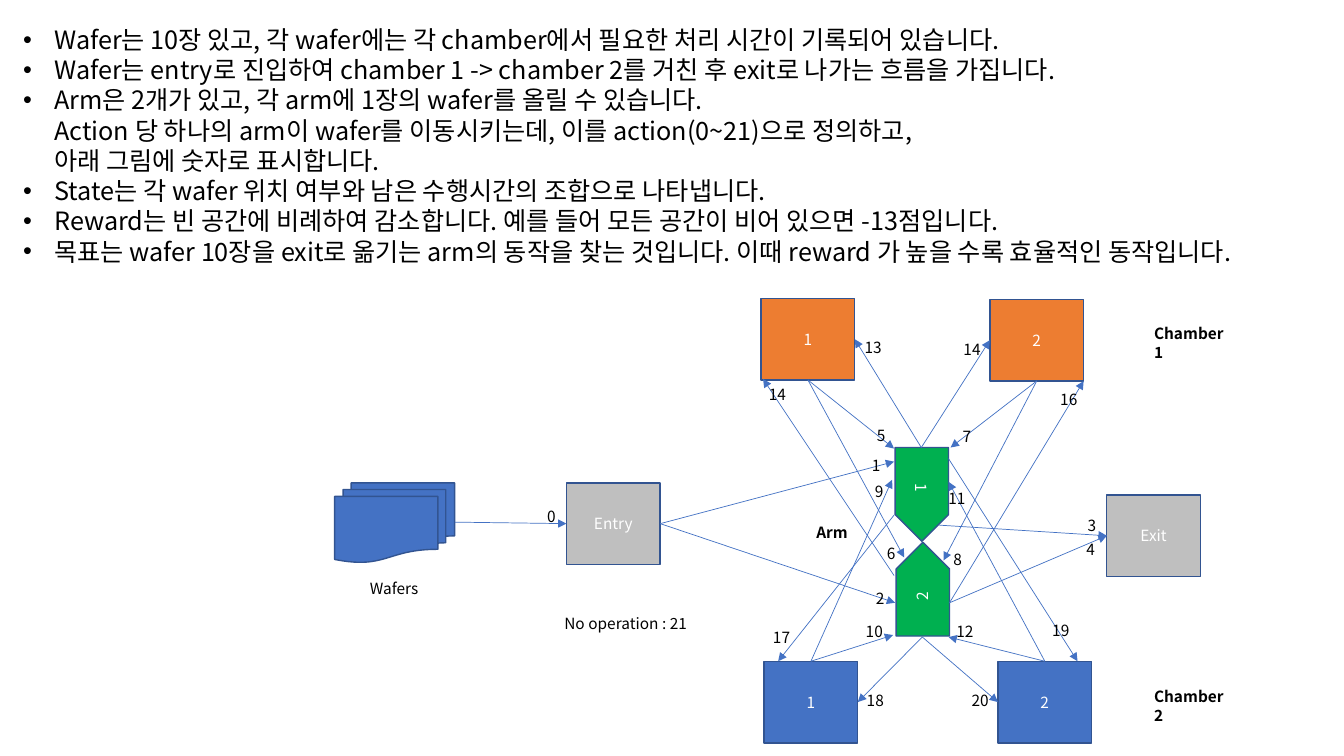
from dataclasses import dataclass
from typing import Any, NamedTuple

from lxml.etree import SubElement
from pptx import Presentation
from pptx.dml.color import RGBColor
from pptx.enum.shapes import MSO_CONNECTOR, MSO_SHAPE as Shp
from pptx.enum.text import MSO_ANCHOR, MSO_AUTO_SIZE as Fit, PP_ALIGN
from pptx.oxml.ns import qn
from pptx.util import Inches, Pt

ORANGE = RGBColor(0xED, 0x7D, 0x31)
BLUE = RGBColor(0x44, 0x72, 0xC4)
NAVY = RGBColor(0x32, 0x54, 0x91)
GREEN = RGBColor(0x00, 0xB0, 0x50)
GRAY = RGBColor(0xBF, 0xBF, 0xBF)
WHITE = RGBColor(0xFF, 0xFF, 0xFF)
BLACK = RGBColor(0x00, 0x00, 0x00)

FONT = "Noto Sans CJK KR"
LEADING = 1.2
BODY_SIZE, LABEL_SIZE = 18, 11
COLS, ROWS = 133.33, 75
CELL = Inches(0.1)
BLOCK_W, BLOCK_H, PLATE_H = 9.3, 8.1, 5.3
LABEL_H = 2.9
TOP, LEFT, BOTTOM, RIGHT = range(4)


class Point(NamedTuple):
    col: float
    row: float


class Port(NamedTuple):
    block: str
    side: int


@dataclass(frozen=True)
class Block:
    col: float
    row: float
    text: str
    fill: RGBColor
    kind: Shp = Shp.RECTANGLE
    width: float = BLOCK_W
    height: float = BLOCK_H
    rotation: int = 0


@dataclass(frozen=True)
class Label:
    text: str
    col: float
    row: float
    width: float = 2.9
    bold: bool = False
    wrap: bool = False


@dataclass(frozen=True)
class Arrow:
    start: Point | Port
    end: Point | Port


BLOCKS = {
    "chamber1_1": Block(75.5, 29.6, "1", ORANGE),
    "chamber1_2": Block(98.2, 29.7, "2", ORANGE),
    "chamber2_1": Block(75.8, 65.6, "1", BLUE),
    "chamber2_2": Block(99, 65.6, "2", BLUE),
    "arm1": Block(86.8, 46.4, "1", GREEN, Shp.PENTAGON, height=PLATE_H, rotation=90),
    "arm2": Block(86.9, 55.8, "2", GREEN, Shp.PENTAGON, height=PLATE_H, rotation=270),
    "entry": Block(56.2, 47.9, "Entry", GRAY),
    "exit": Block(109.8, 49.1, "Exit", GRAY),
    "wafers": Block(33.2, 47.9, "", BLUE, Shp.FLOWCHART_MULTIDOCUMENT, 11.9, 7.9),
}

ARM1_BACK, ARM2_BACK = Point(91.4, 44.4), Point(91.5, 63.2)
ARM2_SIDE = Point(94.2, 59.8)

ARROWS = [
    Arrow(Point(45.1, 51.8), Port("entry", LEFT)),
    Arrow(Port("entry", RIGHT), Point(88.8, 59.8)),
    Arrow(Port("entry", RIGHT), Point(88.7, 45.8)),
    Arrow(Point(93.2, 52.1), Port("exit", LEFT)),
    Arrow(ARM2_SIDE, Port("exit", LEFT)),
    Arrow(ARM1_BACK, Port("chamber1_1", RIGHT)),
    Arrow(ARM1_BACK, Port("chamber1_2", LEFT)),
    Arrow(Port("chamber1_1", BOTTOM), Point(88.7, 44.5)),
    Arrow(Port("chamber1_2", BOTTOM), Point(94.3, 44.4)),
    Arrow(Point(88.7, 57.1), Point(75.7, 37.6)),
    Arrow(ARM2_SIDE, Point(107.5, 37.8)),
    Arrow(Port("chamber1_1", BOTTOM), Point(89.7, 55.3)),
    Arrow(Port("chamber1_2", BOTTOM), Point(93.6, 55.6)),
    Arrow(Point(88.7, 51.1), Point(77.2, 65.6)),
    Arrow(Port("chamber2_1", TOP), Point(88.5, 47.6)),
    Arrow(Point(94.1, 45.5), Point(106.9, 65.6)),
    Arrow(Port("chamber2_2", TOP), Point(94.1, 47.8)),
    Arrow(Port("chamber2_1", TOP), Point(88.6, 63)),
    Arrow(ARM2_BACK, Port("chamber2_1", RIGHT)),
    Arrow(ARM2_BACK, Port("chamber2_2", LEFT)),
    Arrow(Port("chamber2_2", TOP), Point(94.1, 63.2)),
]

LABELS = [
    Label("Chamber1", 113.5, 31.7, 9.5, True, True),
    Label("Chamber2", 113.5, 67.7, 9.5, True, True),
    Label("Arm", 80, 51.4, 5.1, True),
    Label("Wafers", 35.7, 57, 6.8),
    Label("No operation : 21", 55, 60.4, 14.5),
    Label("0", 53.3, 49.8),
    Label("1", 85.5, 44.8),
    Label("2", 85.9, 57.9, 3.4, wrap=True),
    Label("3", 106.9, 50.7),
    Label("4", 106.8, 53.1),
    Label("5", 86, 41.8),
    Label("6", 87, 53.5),
    Label("7", 94.5, 41.9),
    Label("8", 93.6, 54.1),
    Label("9", 85.8, 47.3),
    Label("10", 84.9, 61.2, 3.7),
    Label("11", 93.1, 48, 3.7),
    Label("12", 93.9, 61.2, 3.7),
    Label("13", 84.8, 33.1, 4, wrap=True),
    Label("14", 94.6, 33.2, 3.7),
    Label("14", 75.3, 37.7, 3.7),
    Label("16", 104.2, 38.2, 3.7),
    Label("17", 75.7, 61.8, 3.7),
    Label("18", 85, 68.1, 3.7),
    Label("19", 103.4, 61.1, 3.7),
    Label("20", 95.4, 68.1, 3.7),
]

RULES = [
    "Wafer는 10장 있고, 각 wafer에는 각 chamber에서 필요한 처리 시간이 기록되어 있습니다.",
    "Wafer는 entry로 진입하여 chamber 1 -> chamber 2를 거친 후 exit로 나가는 흐름을 가집니다.",
    "Arm은 2개가 있고, 각 arm에 1장의 wafer를 올릴 수 있습니다.\v"
    "Action 당 하나의 arm이 wafer를 이동시키는데, 이를 action(0~21)으로 정의하고, \v"
    "아래 그림에 숫자로 표시합니다.",
    "State는 각 wafer 위치 여부와 남은 수행시간의 조합으로 나타냅니다.",
    "Reward는 빈 공간에 비례하여 감소합니다. 예를 들어 모든 공간이 비어 있으면 -13점입니다.",
    "목표는 wafer 10장을 exit로 옮기는 arm의 동작을 찾는 것입니다. "
    "이때 reward 가 높을 수록 효율적인 동작입니다.",
]


def grid(*cells: float) -> list[int]:
    return [round(c * CELL) for c in cells]


def set_all(obj: Any, formats: dict[str, Any]) -> None:
    for name, value in formats.items():
        setattr(obj, name, value)


def write(p: Any, text: str, size: int, color: RGBColor, align: PP_ALIGN, bold: bool = False) -> None:
    p.text = text
    set_all(p, {"alignment": align, "line_spacing": Pt(size * LEADING), "space_before": Pt(0)})
    for r in p.runs:
        set_all(r.font, {"name": FONT, "size": Pt(size), "bold": bold})
        r.font.color.rgb = color
        SubElement(r.font._element, qn("a:ea"), typeface=FONT)


def draw_rules(s: Any) -> None:
    sp = s.placeholders[1]
    left, top, width, height = grid(1.3, 1.9, 132.4, 25.2)
    set_all(sp, {"left": left, "top": top, "width": width, "height": height})
    tf = sp.text_frame
    set_all(tf, {"word_wrap": True, "auto_size": Fit.NONE, "vertical_anchor": MSO_ANCHOR.TOP})
    for i, rule in enumerate(RULES):
        p = tf.add_paragraph() if i else tf.paragraphs[0]
        write(p, rule, BODY_SIZE, BLACK, PP_ALIGN.LEFT)
        ppr = p._p.get_or_add_pPr()
        indent = Inches(0.31)
        ppr.set("marL", str(indent))
        ppr.set("indent", str(-indent))
        SubElement(ppr, qn("a:buFont"), typeface="Arial")
        SubElement(ppr, qn("a:buChar"), char="•")


def draw_block(s: Any, b: Block) -> Any:
    sp = s.shapes.add_shape(b.kind, *grid(b.col, b.row, b.width, b.height))
    set_all(sp, {"rotation": b.rotation})
    sp.shadow.inherit = False
    sp.fill.solid()
    sp.fill.fore_color.rgb = b.fill
    sp.line.color.rgb = NAVY
    sp.line.width = Pt(1)
    if b.text:
        write(sp.text_frame.paragraphs[0], b.text, LABEL_SIZE, WHITE, PP_ALIGN.CENTER)
    return sp


def locate(end: Point | Port) -> Point:
    if isinstance(end, Point):
        return end
    b = BLOCKS[end.block]
    dx, dy = {TOP: (0.5, 0), LEFT: (0, 0.5), BOTTOM: (0.5, 1), RIGHT: (1, 0.5)}[end.side]
    return Point(b.col + b.width * dx, b.row + b.height * dy)


def draw_arrow(s: Any, a: Arrow, shapes: dict[str, Any]) -> None:
    c = s.shapes.add_connector(MSO_CONNECTOR.STRAIGHT, *grid(*locate(a.start), *locate(a.end)))
    for end, join in ((a.start, c.begin_connect), (a.end, c.end_connect)):
        if isinstance(end, Port):
            join(shapes[end.block], end.side)
    c.line.color.rgb = BLUE
    c.line.width = Pt(0.5)
    sppr = c.element.spPr
    SubElement(sppr.find(qn("a:ln")), qn("a:tailEnd"), type="triangle")
    SubElement(sppr, qn("a:effectLst"))


def draw_label(s: Any, lb: Label) -> None:
    tf = s.shapes.add_textbox(*grid(lb.col, lb.row, lb.width, LABEL_H)).text_frame
    set_all(tf, {"word_wrap": lb.wrap, "auto_size": Fit.SHAPE_TO_FIT_TEXT})
    write(tf.paragraphs[0], lb.text, LABEL_SIZE, BLACK, PP_ALIGN.LEFT, lb.bold)


def main() -> None:
    prs = Presentation()
    width, height = grid(COLS, ROWS)
    set_all(prs, {"slide_width": width, "slide_height": height})
    s = prs.slides.add_slide(prs.slide_layouts[1])
    title = s.shapes.title.element
    title.getparent().remove(title)
    draw_rules(s)
    shapes = {name: draw_block(s, b) for name, b in BLOCKS.items()}
    for a in ARROWS:
        draw_arrow(s, a, shapes)
    for lb in LABELS:
        draw_label(s, lb)
    prs.save("out.pptx")


if __name__ == "__main__":
    main()
